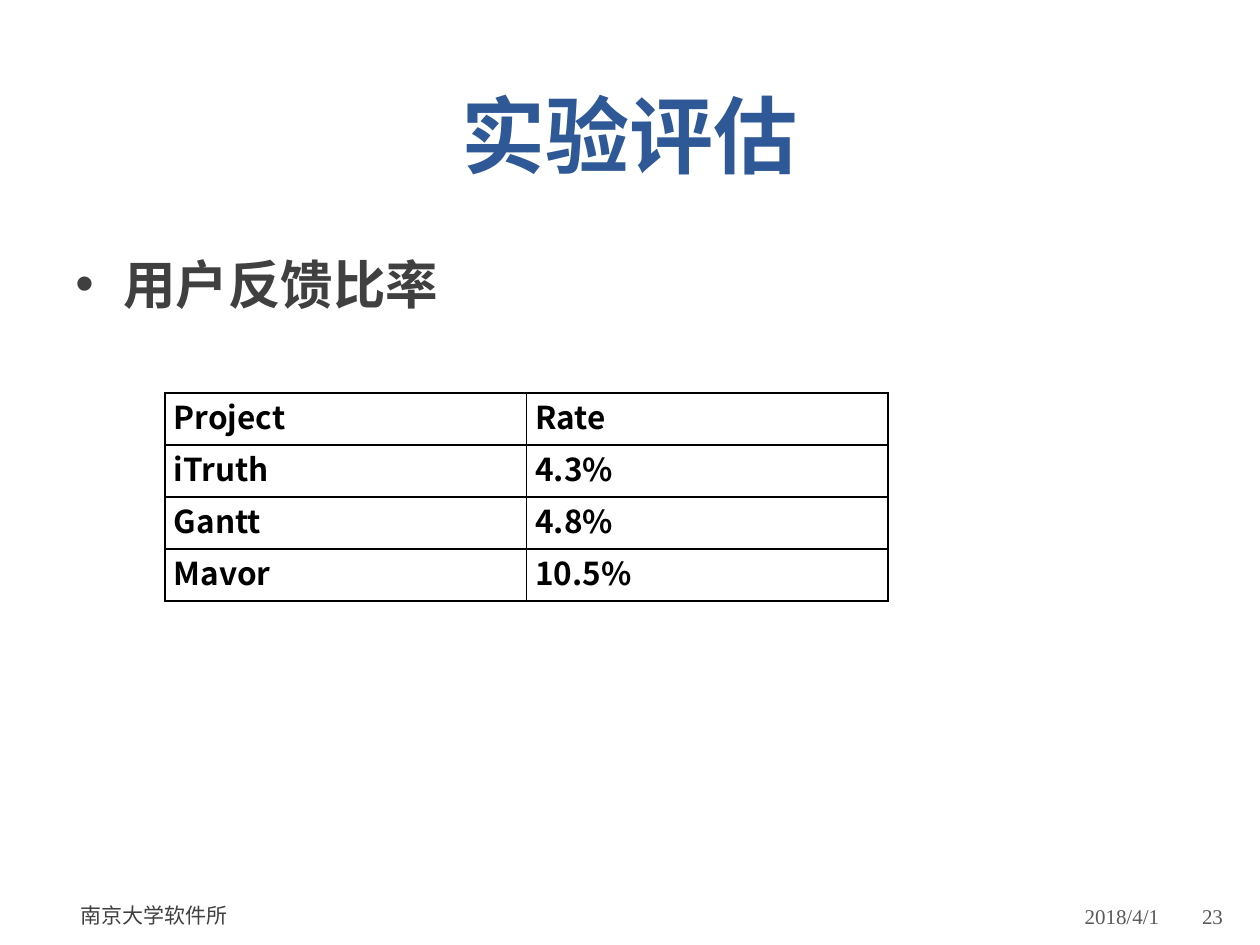
from pptx import Presentation
from pptx.dml.color import RGBColor
from pptx.enum.text import MSO_ANCHOR as Anchor, MSO_AUTO_SIZE as Fit, PP_ALIGN as Align
from pptx.oxml import parse_xml
from pptx.oxml.ns import nsdecls
from pptx.util import Inches, Pt

BLUE = RGBColor(0x2F, 0x58, 0x97)
DARK = RGBColor(0x40, 0x40, 0x40)
GRAY = RGBColor(0x59, 0x59, 0x59)
BLACK = RGBColor(0, 0, 0)
SERIF = "Times New Roman"
SANS = "Noto Sans CJK SC"


def write(frame, text, size=12, font=SERIF, color=GRAY, bold=False, align=Align.LEFT):
    para = frame.paragraphs[0]
    para.alignment = align
    run = para.add_run()
    run.text = text
    run.font.size = Pt(size)
    run.font.name = font
    run.font.bold = bold
    run.font.color.rgb = color
    if font == SANS:
        run.font._element.append(parse_xml(f'<a:ea {nsdecls("a")} typeface="{font}"/>'))
    return para


deck = Presentation()
deck.slide_width, deck.slide_height = Inches(10), Inches(7.5)
slide = deck.slides.add_slide(deck.slide_layouts[5])

# Title
title = slide.shapes.title
title.left, title.top = Inches(0.5), Inches(0.36)
title.width, title.height = Inches(9), Inches(1.15)
frame = title.text_frame
frame.auto_size = Fit.NONE
frame.vertical_anchor = Anchor.BOTTOM
para = write(frame, "实验评估", size=48, color=BLUE, bold=True, align=Align.CENTER)
para.line_spacing = Pt(58)

# Bullet
body = slide.shapes.add_textbox(Inches(0.5), Inches(1.95), Inches(9), Inches(4.95))
body.text_frame.word_wrap = True
para = write(body.text_frame, "用户反馈比率", size=30, color=DARK, bold=True)
para.space_before = Pt(6)
props = para._p.get_or_add_pPr()
props.set("marL", str(Inches(0.38)))
props.set("indent", str(-Inches(0.38)))
props.append(parse_xml(f'<a:buFont {nsdecls("a")} typeface="Arial"/>'))
props.append(parse_xml(f'<a:buChar {nsdecls("a")} char="•"/>'))

# Footer: date, institute, page number
for text, left, top, width, pads, look in [
    ("2018/4/1", 6.97, 7.07, 2.28, (0.1, 0.05), {"align": Align.RIGHT}),
    ("南京大学软件所", 0.59, 7.06, 4.45, (0.05, 0.1), {"font": SANS, "color": DARK}),
    ("23", 9.51, 7.07, 0.45, (0.03, 0.05), {}),
]:
    box = slide.shapes.add_textbox(Inches(left), Inches(top), Inches(width), Inches(0.4))
    frame = box.text_frame
    frame.word_wrap = True
    frame.vertical_anchor = Anchor.MIDDLE
    frame.margin_left, frame.margin_right = map(Inches, pads)
    write(frame, text, **look)

# Table of feedback rates
rates = [("Project", "Rate"), ("iTruth", "4.3%"), ("Gantt", "4.8%"), ("Mavor", "10.5%")]
table = slide.shapes.add_table(
    len(rates), 2, Inches(1.31), Inches(3.12), Inches(5.74), Inches(1.65)).table
table.first_row = table.horz_banding = False
for r, row in enumerate(rates):
    for c, text in enumerate(row):
        cell = table.cell(r, c)
        cell.margin_left = cell.margin_right = Inches(0.07)
        cell.margin_top = cell.margin_bottom = 0
        write(cell.text_frame, text, size=18, font=SANS, color=BLACK, bold=True,
              align=Align.JUSTIFY)
        # Borders come before the fill in the cell properties
        for side in "LRTB":
            cell._tc.get_or_add_tcPr().append(parse_xml(
                f'<a:ln{side} {nsdecls("a")} w="{Pt(1)}"><a:solidFill>'
                f'<a:srgbClr val="{BLACK}"/></a:solidFill></a:ln{side}>'))
        cell.fill.background()

deck.save("out.pptx")
